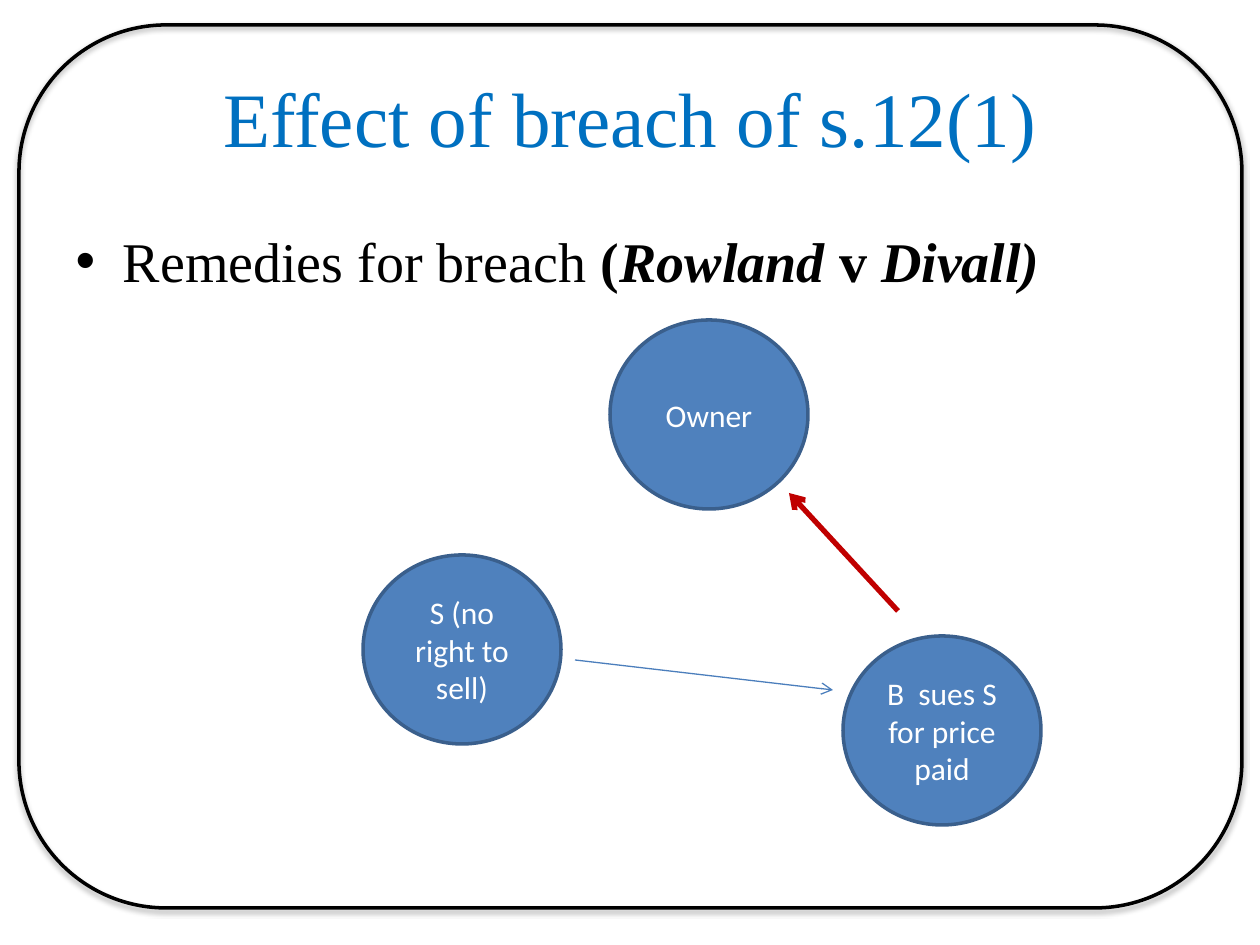
from lxml.etree import SubElement
from pptx import Presentation
from pptx.dml.color import RGBColor
from pptx.enum.shapes import MSO_CONNECTOR as Connector, MSO_SHAPE as Shape
from pptx.enum.text import MSO_ANCHOR as Anchor, PP_ALIGN as Align
from pptx.oxml import parse_xml
from pptx.oxml.ns import nsdecls, qn
from pptx.util import Emu, Pt

SCALE = 914400 / 126
COLORS = {
    "black": "000000", "title": "0070C0", "circle": "4F81BD", "outline": "3A5F8C",
    "white": "FFFFFF", "sale": "4B7EBC", "claim": "C00000",
}
CIRCLE_SIZE = (198, 189)


def px(value):
    """Turn pixels into EMU."""
    return Emu(round(value * SCALE))


def color(name):
    """Look up a named colour."""
    return RGBColor.from_string(COLORS[name])


def place(shape, left, top, width, height):
    """Set the position and size of a shape in pixels."""
    shape.left, shape.top = px(left), px(top)
    shape.width, shape.height = px(width), px(height)


def set_font(span, face, size, name):
    """Set the face, size and colour of a run."""
    span.font.name = face
    span.font.size = Pt(size)
    span.font.color.rgb = color(name)


def set_line(shape, name, width):
    """Set the colour and point width of a line."""
    shape.line.color.rgb = color(name)
    shape.line.width = Pt(width)


def add_frame(page):
    """Draw the shadowed frame behind the title and body."""
    frame = page.shapes.add_shape(Shape.ROUNDED_RECTANGLE, px(19), px(25), px(1223), px(883))
    frame.fill.background()
    set_line(frame, "black", 2)
    frame.element.spPr.append(parse_xml(
        f'<a:effectLst {nsdecls("a")}><a:outerShdw blurRad="{Pt(3.1)}" dist="{Pt(1.8)}" '
        f'dir="5400000" rotWithShape="0"><a:srgbClr val="{COLORS["black"]}">'
        '<a:alpha val="35000"/></a:srgbClr></a:outerShdw></a:effectLst>'))
    page.shapes.title.element.addprevious(frame.element)


def fill_title(title, text):
    """Place and format the title."""
    place(title, 63, 38, 1134, 157)
    title.text_frame.text = text
    title.text_frame.vertical_anchor = Anchor.MIDDLE
    para = title.text_frame.paragraphs[0]
    para.alignment = Align.CENTER
    set_font(para.runs[0], "Times New Roman", 44, "title")


def fill_body(body, spans):
    """Place the body and write its bullet from (text, bold, italic) spans."""
    place(body, 63, 220, 1134, 624)
    para = body.text_frame.paragraphs[0]
    for text, bold, italic in spans:
        span = para.add_run()
        span.text = text
        set_font(span, "Times New Roman", 32, "black")
        span.font.bold, span.font.italic = bold, italic


def add_circle(page, left, top, text):
    """Draw one party as a labelled circle."""
    width, height = CIRCLE_SIZE
    circle = page.shapes.add_shape(Shape.OVAL, px(left), px(top), px(width), px(height))
    circle.shadow.inherit = False
    circle.fill.solid()
    circle.fill.fore_color.rgb = color("circle")
    set_line(circle, "outline", 2)
    circle.text_frame.text = text
    circle.text_frame.word_wrap = True
    circle.text_frame.vertical_anchor = Anchor.MIDDLE
    para = circle.text_frame.paragraphs[0]
    para.alignment = Align.CENTER
    set_font(para.runs[0], "Calibri", 18, "white")


def add_arrow(page, start, end, name, width):
    """Draw an open-headed arrow between two points."""
    arrow = page.shapes.add_connector(Connector.STRAIGHT, *map(px, start + end))
    set_line(arrow, name, width)
    SubElement(arrow.line._get_or_add_ln(), qn("a:tailEnd"), type="arrow")
    SubElement(arrow.element.spPr, qn("a:effectLst"))


def main():
    """Build and save the slide."""
    deck = Presentation()
    deck.slide_width, deck.slide_height = px(1260), px(945)
    page = deck.slides.add_slide(deck.slide_layouts[1])
    add_frame(page)
    fill_title(page.shapes.title, "Effect of breach of s.12(1)")
    fill_body(page.placeholders[1], [
        ("Remedies for breach ", False, False), ("(", True, False),
        ("Rowland ", True, True), ("v ", True, False), ("Divall)", True, True),
    ])
    add_circle(page, 610, 320, "Owner")
    add_circle(page, 363, 555, "S (no right to sell)")
    add_arrow(page, (575, 660), (833, 690), "sale", 0.75)
    add_arrow(page, (898, 611), (789, 493), "claim", 3)
    add_circle(page, 843, 636, "B  sues S for price paid")
    deck.save("out.pptx")


if __name__ == "__main__":
    main()
